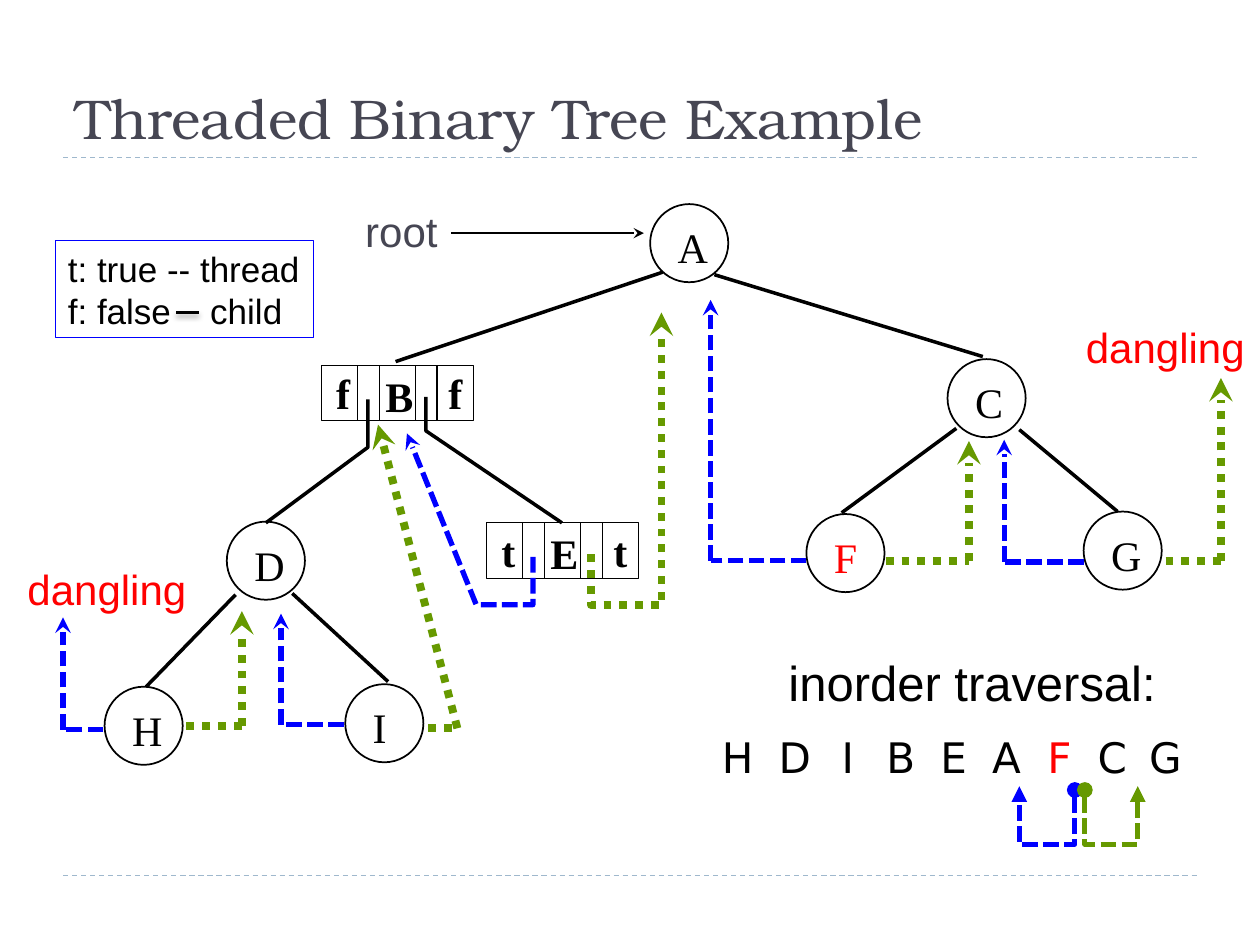
import pptx
import pptx.util
import pptx.dml.color
import pptx.enum.dml
import pptx.enum.shapes
import pptx.enum.text
import pptx.oxml
import pptx.oxml.ns
import lxml.etree
import itertools

Inches = pptx.util.Inches
KIND = pptx.enum.shapes.MSO_SHAPE
DASH = pptx.enum.dml.MSO_LINE
BLACK, SLATE, RED, BLUE, GREEN = "000000", "464653", "FF0000", "0000FF", "669900"
LEFT = (BLUE, 3, DASH.SQUARE_DOT)
RIGHT = (GREEN, 4.5, DASH.ROUND_DOT)
SOLID = (BLACK, 2, None)
RULE = ("9FB8CD", 0.75, DASH.DASH)


def hue(code):
    """Turn a hex string into a colour."""
    return pptx.dml.color.RGBColor.from_string(code)


def add(parent, tag, **attrs):
    """Append a drawing element to a parent."""
    node = lxml.etree.SubElement(parent, pptx.oxml.ns.qn(tag))
    for name, value in attrs.items():
        node.set(name, str(value))
    return node


def stroke(shape, pen, head=None, tail=None):
    """Give a line its pen and its ends."""
    color, width, dash = pen
    shape.line.color.rgb = hue(color)
    shape.line.width = pptx.util.Pt(width)
    if dash:
        shape.line.dash_style = dash
    ends = shape.line._get_or_add_ln()
    if head:
        add(ends, "a:headEnd", type=head)
    if tail:
        add(ends, "a:tailEnd", type=tail)


def wire(slide, points, pen, tail=None):
    """Join points with straight connectors, the last one ending in the arrow."""
    pairs = list(itertools.pairwise(points))
    for step, (start, end) in enumerate(pairs, 1):
        link = slide.shapes.add_connector(
            pptx.enum.shapes.MSO_CONNECTOR.STRAIGHT,
            *(Inches(v) for v in start + end))
        stroke(link, pen, tail=tail if step == len(pairs) else None)
        flat = add(link._element.spPr, "a:effectLst")
    return flat


def bend(slide, points, pen, head=None, tail=None):
    """Draw an open bent line through points."""
    spots = [(Inches(x), Inches(y)) for x, y in points]
    draft = slide.shapes.build_freeform(*spots[0])
    draft.add_line_segments(spots[1:], close=False)
    shape = draft.convert_to_shape()
    shape.shadow.inherit = False
    shape.fill.background()
    stroke(shape, pen, head, tail)


def form(slide, kind, box, pen):
    """Add an unfilled outline shape."""
    shape = slide.shapes.add_shape(kind, *(Inches(v) for v in box))
    shape.shadow.inherit = False
    shape.fill.background()
    stroke(shape, pen)
    return shape


def style(para, size, face, color, bold=False):
    """Set the font of a paragraph."""
    para.alignment = pptx.enum.text.PP_ALIGN.LEFT
    para.font.size = pptx.util.Pt(size)
    para.font.name = face
    para.font.bold = bold
    para.font.color.rgb = hue(color)


def stops(para, places, align):
    """Set tab stops on a paragraph."""
    tabs = add(para._p.get_or_add_pPr(), "a:tabLst")
    for place in places:
        add(tabs, "a:tab", pos=Inches(place), algn=align)


def label(slide, box, words, size=24, face="Arial", color=BLACK, bold=False, wrap=False):
    """Add a text box with one line and return its paragraph."""
    frame = slide.shapes.add_textbox(*(Inches(v) for v in box)).text_frame
    frame.word_wrap = wrap
    para = frame.paragraphs[0]
    para.text = words
    style(para, size, face, color, bold)
    return para


def node(slide, x, y, name, width=0.44, color=BLACK):
    """Place a round tree node."""
    form(slide, KIND.OVAL, (x, y, 0.62, 0.62), (BLACK, 1, None))
    label(slide, (x + 0.12, y + 0.09, width, 0.5), name, face="Times New Roman", color=color)


def record(slide, x, y, name, flag):
    """Place a five-cell node with a flag at each end."""
    left = x
    for width in (0.29, 0.17, 0.29, 0.17, 0.29):
        form(slide, KIND.RECTANGLE, (left, y, width, 0.44), (BLACK, 0.75, None))
        left += width
    for shift, drop, width, word in ((0.02, -0.03, 0.31, flag), (0.41, -0.01, 0.42, name),
                                     (0.91, -0.03, 0.31, flag)):
        label(slide, (x + shift, y + drop, width, 0.5), word,
              face="Times New Roman", bold=True)


def header(slide, x, y, width, height):
    """Place the title and the two rules of the page."""
    title = slide.shapes.title
    title.left, title.top, title.width, title.height = (
        Inches(v) for v in (x, y, width, height))
    frame = title.text_frame
    frame.text = "Threaded Binary Tree Example"
    frame.auto_size = pptx.enum.text.MSO_AUTO_SIZE.NONE
    frame.vertical_anchor = pptx.enum.text.MSO_ANCHOR.BOTTOM
    style(frame.paragraphs[0], 32, "TeX Gyre Bonum", SLATE)
    for level in (y + height, 6.95):
        wire(slide, [(x, level), (x + 9, level)], RULE)


def tree(slide, x, y):
    """Place the nodes and their child links."""
    def at(*points):
        return [(x + px, y + py) for px, py in points]

    for px, py, name, width, color in (
            (5.16, 0, "A", 0.44, BLACK), (7.52, 1.23, "C", 0.42, BLACK),
            (8.6, 2.44, "G", 0.44, BLACK), (2.74, 3.81, "I", 0.31, BLACK),
            (1.8, 2.52, "D", 0.44, BLACK), (0.83, 3.83, "H", 0.44, BLACK),
            (6.4, 2.46, "F", 0.39, RED)):
        node(slide, x + px, y + py, name, width, color)
    record(slide, x + 2.55, y + 1.28, "B", "f")
    record(slide, x + 3.86, y + 2.53, "E", "t")
    for points in (((5.26, 0.54), (3.14, 1.25)), ((5.67, 0.56), (7.8, 1.21)),
                   ((7.59, 1.78), (6.68, 2.45)), ((8.09, 1.79), (8.87, 2.44)),
                   ((1.87, 3.1), (1.16, 3.83)), ((2.32, 3.09), (3.08, 3.79))):
        wire(slide, at(*points), SOLID)
    bend(slide, at((2.92, 1.55), (2.92, 1.93), (2.11, 2.53)), SOLID)
    bend(slide, at((3.38, 1.53), (3.38, 1.8), (4.46, 2.53)), SOLID)
    label(slide, (x + 2.8, y - 0.04, 0.78, 0.5), "root", color=SLATE)
    wire(slide, at((3.58, 0.23), (5.11, 0.23)), (BLACK, 1, None), "stealth")


def threads(slide, x, y):
    """Place the thread arrows and mark the dangling ones."""
    def at(*points):
        return [(x + px, y + py) for px, py in points]

    for pen, start, turn, level, tip in (
            (LEFT, 2.73, 2.23, 4.13, 3.25), (RIGHT, 1.48, 1.92, 4.14, 3.23),
            (LEFT, 6.4, 5.64, 2.83, 0.76), (LEFT, 8.6, 7.97, 2.84, 1.87),
            (LEFT, 0.82, 0.5, 4.17, 3.28), (RIGHT, 7.03, 7.69, 2.83, 1.88),
            (RIGHT, 9.25, 9.69, 2.83, 1.38)):
        wire(slide, at((start, level), (turn, level), (turn, tip)), pen, "stealth")
    wire(slide, at((3.4, 4.16), (3.63, 4.16), (3, 1.75)), RIGHT, "stealth")
    bend(slide, at((4.69, 2.78), (4.69, 3.18), (5.25, 3.18), (5.25, 0.86)),
         RIGHT, tail="stealth")
    bend(slide, at((4.23, 2.8), (4.23, 3.18), (3.78, 3.18), (3.23, 1.82)),
         LEFT, tail="stealth")
    for px, py in ((0.12, 2.8), (8.52, 0.88)):
        label(slide, (x + px, y + py, 1.47, 0.5), "dangling", color=RED)


def legend(slide, x, y, width, height):
    """Place the key to the flags."""
    shape = form(slide, KIND.RECTANGLE, (x, y, width, height), (BLUE, 0.75, None))
    frame = shape.text_frame
    frame.word_wrap = True
    frame.margin_right = Inches(0.02)
    frame.text = "t: true -- thread\nf: false\tchild"
    for para in frame.paragraphs:
        style(para, 20, "Arial", BLACK)
    stops(frame.paragraphs[1], [1.13], "l")
    effect = wire(slide, [(x + 0.96, y + 0.57), (x + 1.14, y + 0.57)], (BLACK, 1.5, None))
    shade = add(effect, "a:outerShdw", blurRad=pptx.util.Pt(3), dist=pptx.util.Pt(2),
                dir=5400000, rotWithShape=0)
    add(add(shade, "a:srgbClr", val=BLACK), "a:alpha", val=40000)


def walk(slide, x, y):
    """Place the inorder sequence with the two threads of F."""
    label(slide, (x + 0.53, y, 3.13, 0.57), "inorder traversal:", 28)
    para = label(slide, (x, y + 0.63, 4.09, 0.5), "", face="DejaVu Sans", wrap=True)
    for words in ("H\tD\tI\tB\tE\tA\t", "F", "\tC\tG"):
        run = para.add_run()
        run.text = words
        if words == "F":
            run.font.color.rgb = hue(RED)
    stops(para, [0.58 + 0.42 * step for step in range(8)], "ctr")
    for color, start, end in ((BLUE, 2.9, 2.46), (GREEN, 2.98, 3.4)):
        bend(slide, [(x + start, y + 1.14), (x + start, y + 1.57),
                     (x + end, y + 1.57), (x + end, y + 1.11)],
             (color, 3, DASH.SQUARE_DOT), "oval", "triangle")


def main():
    """Build the slide and save it."""
    deck = pptx.Presentation()
    deck.slide_width, deck.slide_height = Inches(10), Inches(7.5)
    slide = deck.slides.add_slide(deck.slide_layouts[5])
    header(slide, 0.5, 0.14, 8.2, 1.11)
    tree(slide, 0, 1.62)
    threads(slide, 0, 1.62)
    walk(slide, 5.63, 5.13)
    legend(slide, 0.44, 1.91, 2.05, 0.77)
    deck.save("out.pptx")


if __name__ == "__main__":
    main()
